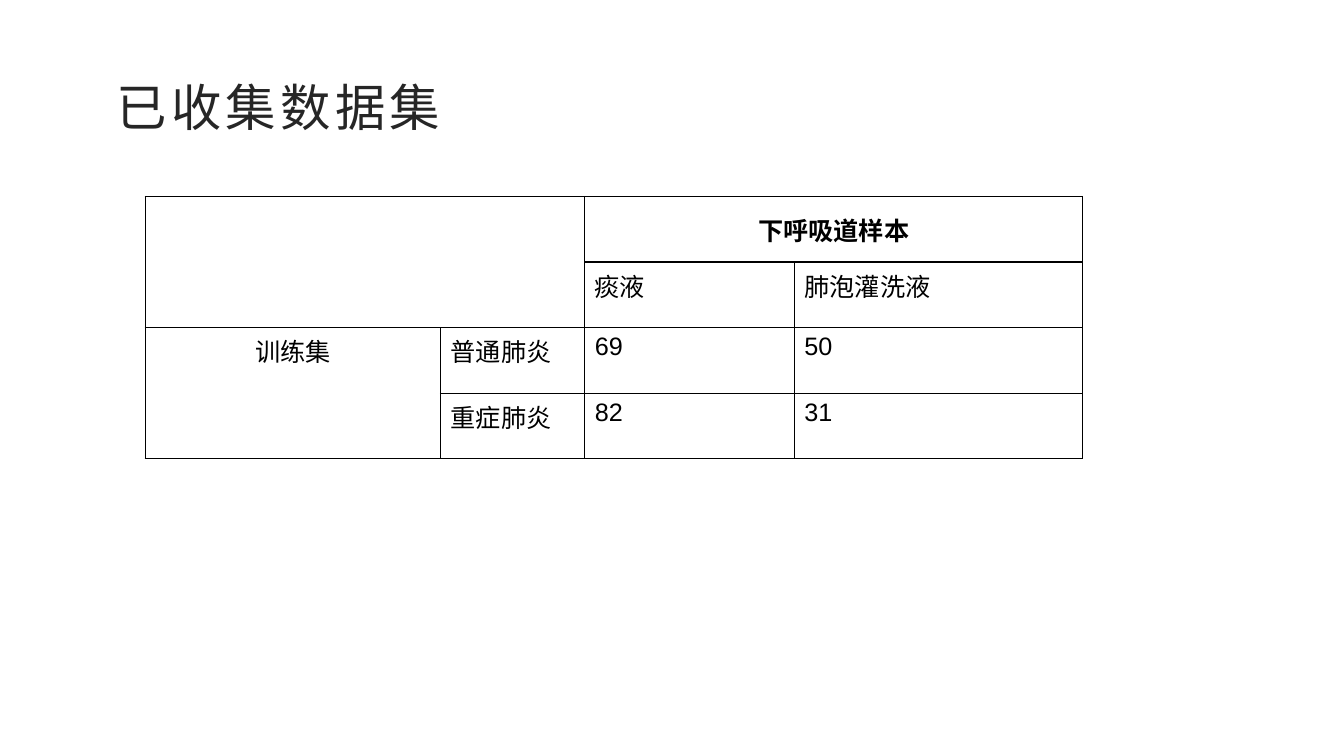
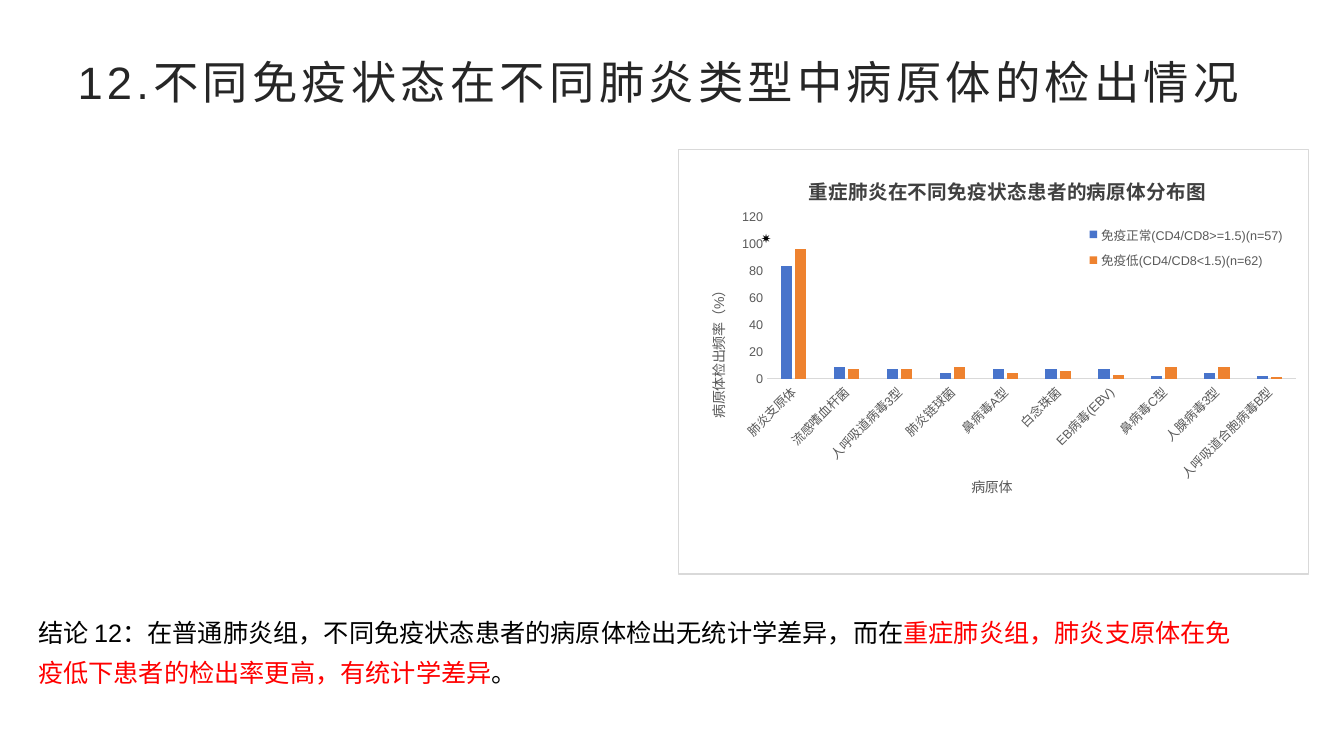
from dataclasses import dataclass

from lxml import etree
from pptx import Presentation
from pptx.chart.data import CategoryChartData
from pptx.dml.color import RGBColor
from pptx.enum.chart import XL_CHART_TYPE, XL_LEGEND_POSITION, XL_TICK_MARK
from pptx.enum.text import MSO_ANCHOR, MSO_AUTO_SIZE, PP_ALIGN
from pptx.oxml import parse_xml
from pptx.oxml.ns import nsdecls, qn
from pptx.util import Pt

LEFT, CENTER = PP_ALIGN.LEFT, PP_ALIGN.CENTER
TOP, MIDDLE = MSO_ANCHOR.TOP, MSO_ANCHOR.MIDDLE
NO_TICKS = XL_TICK_MARK.NONE


@dataclass(frozen=True)
class Theme:
    latin: str = "Arial"
    asian: str = "Noto Sans CJK SC"
    black: str = "000000"
    title: str = "262626"
    chart_title: str = "404040"
    label: str = "595959"
    rule: str = "D9D9D9"
    white: str = "FFFFFF"
    alert: str = "FF0000"
    blue: str = "4874CB"
    orange: str = "EE822F"
    body_size: float = 18
    chart_title_size: float = 14
    axis_title_size: float = 10
    label_size: float = 9
    title_spacing: int = 300


THEME = Theme()

DATASET_TITLE = ("已收集数据集", 36, (76.3, 48.2, 710, 55.4))
TABLE_LEFT, TABLE_TOP, ROW_HEIGHT = 103.7, 140.4, 46.8
COLUMN_WIDTHS = (211, 103, 149.8, 205.9)
TABLE_ROWS = [
    ("", "", "下呼吸道样本", ""),
    ("", "", "痰液", "肺泡灌洗液"),
    ("训练集", "普通肺炎", "69", "50"),
    ("", "重症肺炎", "82", "31"),
]
MERGES = [((0, 0), (1, 1)), ((0, 2), (0, 3)), ((2, 0), (3, 0))]
HEADER_CELL = (0, 2)
CENTERED_CELLS = {HEADER_CELL, (2, 0)}

PATHOGEN_TITLE = ("12.不同免疫状态在不同肺炎类型中病原体的检出情况", 32.4,
                  (48.2, 30.2, 864, 55.4))
CHART_BOX = (484.6, 106.6, 450.7, 303.8)
CHART_TITLE = "重症肺炎在不同免疫状态患者的病原体分布图"
CATEGORY_TITLE, VALUE_TITLE = "病原体", "病原体检出频率（%）"
PATHOGENS = ["肺炎支原体", "流感嗜血杆菌", "人呼吸道病毒3型", "肺炎链球菌", "鼻病毒A型",
             "白念珠菌", "EB病毒(EBV)", "鼻病毒C型", "人腺病毒3型", "人呼吸道合胞病毒B型"]
IMMUNE_GROUPS = [
    ("免疫正常(CD4/CD8>=1.5)(n=57)", THEME.blue, (84, 9, 7, 4, 7, 7, 7, 2, 4, 2)),
    ("免疫低(CD4/CD8<1.5)(n=62)", THEME.orange, (97, 7, 7, 9, 4, 6, 3, 9, 9, 1)),
]
# Fractions of the chart area: left, top and, where needed, width and height
PLOT_AREA = (0.14, 0.16, 0.84, 0.38)
LEGEND_AREA = (0.63, 0.16, 0.35, 0.14)
CHART_TITLE_AT, CATEGORY_TITLE_AT, VALUE_TITLE_AT = (0.2, 0.05), (0.46, 0.76), (0.04, 0.31)

CONCLUSION_BOX = (20.2, 431.3, 871.2, 82.1)
CONCLUSION = [
    ("结论 12：在普通肺炎组，不同免疫状态患者的病原体检出无统计学差异，而在", THEME.black),
    ("重症肺炎组，肺炎支原体在免疫低下患者的检出率更高，有统计学差异", THEME.alert),
    ("。", THEME.black),
]
SIGNIFICANCE_MARK, MARK_BOX = "✷", (536.4, 161.3, 38.2, 28.8)


def points(values):
    return [Pt(value) for value in values]


def rgb(color):
    return RGBColor.from_string(color)


def style_font(font, size, color, bold=False, latin=THEME.latin):
    font.size, font.bold, font.name = Pt(size), bold, latin
    font.color.rgb = rgb(color)
    properties = font._rPr
    asian = etree.Element(qn("a:ea"), typeface=THEME.asian)
    properties.find(qn("a:latin")).addnext(asian)


def add_run(paragraph, text, size, color, **style):
    run = paragraph.add_run()
    run.text = text
    style_font(run.font, size, color, **style)
    return run


def add_titled_slide(deck, text, size, box):
    slide = deck.slides.add_slide(deck.slide_layouts[5])
    title = slide.shapes.title
    title.left, title.top, title.width, title.height = points(box)
    frame = title.text_frame
    frame.auto_size = MSO_AUTO_SIZE.NONE
    frame.vertical_anchor = MIDDLE
    paragraph = frame.paragraphs[0]
    paragraph.alignment = LEFT
    run = add_run(paragraph, text, size, THEME.title)
    run.font._rPr.set("spc", str(THEME.title_spacing))
    return slide


def add_paragraph_box(slide, box):
    frame = slide.shapes.add_textbox(*points(box)).text_frame
    frame.word_wrap = True
    return frame.paragraphs[0]


def border_cell(cell):
    properties = cell._tc.get_or_add_tcPr()
    for position, side in enumerate(("lnL", "lnR", "lnT", "lnB")):
        properties.insert(position, parse_xml(
            f'<a:{side} {nsdecls("a")} w="{Pt(1)}"><a:solidFill>'
            f'<a:srgbClr val="{THEME.black}"/></a:solidFill></a:{side}>'))


def add_dataset_table(slide):
    table = slide.shapes.add_table(
        len(TABLE_ROWS), len(COLUMN_WIDTHS), Pt(TABLE_LEFT), Pt(TABLE_TOP),
        Pt(sum(COLUMN_WIDTHS)), Pt(ROW_HEIGHT * len(TABLE_ROWS))).table
    table.first_row = table.horz_banding = False
    for column, width in zip(table.columns, COLUMN_WIDTHS):
        column.width = Pt(width)
    for row_index, labels in enumerate(TABLE_ROWS):
        table.rows[row_index].height = Pt(ROW_HEIGHT)
        for column_index, label in enumerate(labels):
            place = (row_index, column_index)
            cell = table.cell(*place)
            cell.fill.background()
            border_cell(cell)
            cell.vertical_anchor = MIDDLE if place == HEADER_CELL else TOP
            if label:
                paragraph = cell.text_frame.paragraphs[0]
                paragraph.alignment = CENTER if place in CENTERED_CELLS else LEFT
                add_run(paragraph, label, THEME.body_size, THEME.black,
                        bold=place == HEADER_CELL)
    for first, last in MERGES:
        table.cell(*first).merge(table.cell(*last))


def set_layout(element, area, after=None, inner=False):
    """Place a chart part by fractions of the chart area."""
    for old in element.findall(qn("c:layout")):
        element.remove(old)
    target = '<c:layoutTarget val="inner"/>' if inner else ""
    modes = '<c:xMode val="edge"/><c:yMode val="edge"/>'
    sizes = "".join(f'<c:{key} val="{value}"/>' for key, value in zip("xywh", area))
    layout = parse_xml(f'<c:layout {nsdecls("c")}><c:manualLayout>{target}{modes}{sizes}'
                       '</c:manualLayout></c:layout>')
    if after:
        element.find(qn(after)).addnext(layout)
    else:
        element.insert(0, layout)


def write_chart_title(title, text, size, color, at, bold=False):
    frame = title.text_frame
    add_run(frame.paragraphs[0], text, size, color, bold=bold)
    set_layout(title._element, at, after="c:tx")
    return frame


def style_axis(axis, text, at):
    axis.has_major_gridlines = False
    axis.major_tick_mark = axis.minor_tick_mark = NO_TICKS
    style_font(axis.tick_labels.font, THEME.label_size, THEME.label)
    return write_chart_title(axis.axis_title, text, THEME.axis_title_size, THEME.label, at)


def add_pathogen_chart(slide):
    data = CategoryChartData()
    data.categories = PATHOGENS
    for name, _, rates in IMMUNE_GROUPS:
        data.add_series(name, rates)
    chart = slide.shapes.add_chart(
        XL_CHART_TYPE.COLUMN_CLUSTERED, *points(CHART_BOX), data).chart
    style_font(chart.font, THEME.axis_title_size, THEME.black)
    space = chart._chartSpace
    space.find(qn("c:chart")).addnext(parse_xml(
        f'<c:spPr {nsdecls("c", "a")}><a:solidFill><a:srgbClr val="{THEME.white}"/>'
        f'</a:solidFill><a:ln w="{Pt(0.75)}"><a:solidFill><a:srgbClr val="{THEME.rule}"/>'
        '</a:solidFill></a:ln></c:spPr>'))
    chart.has_title = True
    write_chart_title(chart.chart_title, CHART_TITLE, THEME.chart_title_size,
                      THEME.chart_title, CHART_TITLE_AT, bold=True)

    plot = chart.plots[0]
    plot.gap_width, plot.overlap, plot.vary_by_categories = 246, -28, False
    for series, (_, color, _) in zip(plot.series, IMMUNE_GROUPS):
        series.format.fill.solid()
        series.format.fill.fore_color.rgb = rgb(color)
    set_layout(space.chart.plotArea, PLOT_AREA, inner=True)

    categories, values = chart.category_axis, chart.value_axis
    style_axis(categories, CATEGORY_TITLE, CATEGORY_TITLE_AT)
    categories.format.line.color.rgb = rgb(THEME.rule)
    categories.format.line.width = Pt(0.75)
    label_body = categories._element.find(qn("c:txPr")).find(qn("a:bodyPr"))
    label_body.set("rot", "-2700000")

    value_title = style_axis(values, VALUE_TITLE, VALUE_TITLE_AT)
    title_body = value_title._txBody.find(qn("a:bodyPr"))
    title_body.set("rot", "-5400000")
    title_body.set("vert", "horz")
    values.format.line.fill.background()
    values.minimum_scale, values.maximum_scale, values.major_unit = 0, 120, 20

    chart.has_legend = True
    legend = chart.legend
    legend.position = XL_LEGEND_POSITION.BOTTOM
    legend.include_in_layout = False
    style_font(legend.font, THEME.label_size, THEME.label)
    set_layout(legend._element, LEGEND_AREA, after="c:legendPos")


def add_conclusion(slide):
    paragraph = add_paragraph_box(slide, CONCLUSION_BOX)
    paragraph.line_spacing = 1.3
    for text, color in CONCLUSION:
        add_run(paragraph, text, THEME.body_size, color)


def main():
    deck = Presentation()
    deck.slide_width, deck.slide_height = Pt(960), Pt(540)

    add_dataset_table(add_titled_slide(deck, *DATASET_TITLE))

    pathogen_slide = add_titled_slide(deck, *PATHOGEN_TITLE)
    add_pathogen_chart(pathogen_slide)
    add_conclusion(pathogen_slide)
    add_run(add_paragraph_box(pathogen_slide, MARK_BOX), SIGNIFICANCE_MARK,
            THEME.label_size, THEME.black, latin=THEME.asian)

    deck.save("out.pptx")


if __name__ == "__main__":
    main()
